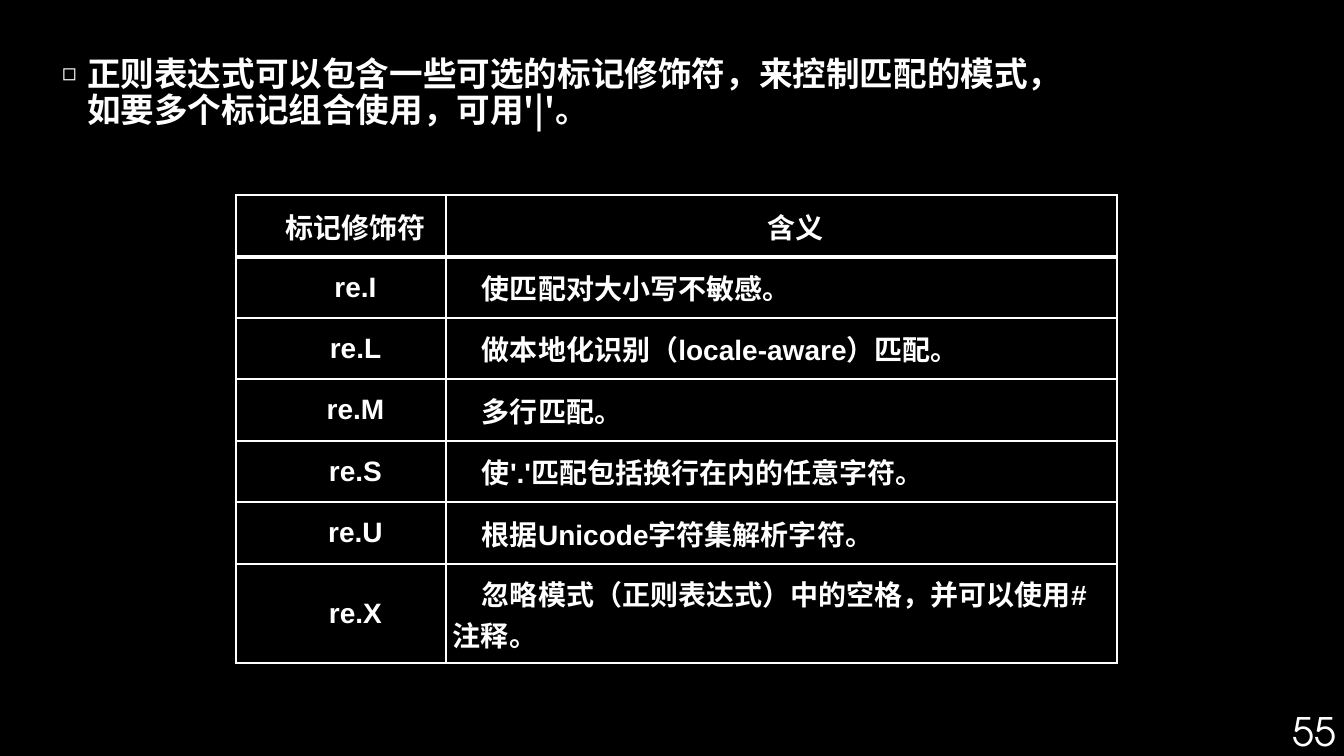
import dataclasses
import itertools

import pptx
import pptx.dml.color
import pptx.enum.text
import pptx.oxml
import pptx.oxml.ns
import pptx.util

EMU_PER_PX = 914400 / 100.8
NS = pptx.oxml.ns.nsdecls("a")
ALIGN = pptx.enum.text.PP_ALIGN
MIDDLE = pptx.enum.text.MSO_ANCHOR.MIDDLE
BLACK, WHITE = "000000", "FFFFFF"
CJK = "Noto Sans CJK SC"


@dataclasses.dataclass
class Flag:
    name: str
    meaning: str


@dataclasses.dataclass
class Style:
    size: int
    font: str
    bold: bool = True


BODY = Style(24, CJK)
CELL = Style(20, "Arial")
NUMBER = Style(28, "TeX Gyre Adventor", False)

INTRO = "正则表达式可以包含一些可选的标记修饰符，来控制匹配的模式，如要多个标记组合使用，可用'|'。"
HEADER = Flag("标记修饰符", "含义")
FLAGS = [
    Flag("re.I", "使匹配对大小写不敏感。"),
    Flag("re.L", "做本地化识别（locale-aware）匹配。"),
    Flag("re.M", "多行匹配。"),
    Flag("re.S", "使'.'匹配包括换行在内的任意字符。"),
    Flag("re.U", "根据Unicode字符集解析字符。"),
    Flag("re.X", "忽略模式（正则表达式）中的空格，并可以使用#注释。"),
]
COL_EDGES = (236, 446, 1117)
ROW_EDGES = (195, 257, 318, 379, 441, 502, 564, 663)


def px(n: int) -> int:
    return pptx.util.Emu(round(n * EMU_PER_PX))


def rgb(value: str) -> pptx.dml.color.RGBColor:
    return pptx.dml.color.RGBColor.from_string(value)


def set_attrs(obj, values: dict) -> None:
    for name, value in values.items():
        setattr(obj, name, value)


def write(p, text: str, style: Style) -> None:
    r = p.add_run()
    r.text = text
    set_attrs(r.font, {"size": pptx.util.Pt(style.size), "bold": style.bold, "name": style.font})
    r.font.color.rgb = rgb(WHITE)
    r.font._element.append(pptx.oxml.parse_xml(f'<a:ea {NS} typeface="{CJK}"/>'))


def indent(p, left: int, first: int) -> None:
    p._p.get_or_add_pPr().set("marL", str(px(left)))
    p._p.get_or_add_pPr().set("indent", str(px(first)))


def add_border(cell, side: str, points: int) -> None:
    cell._tc.get_or_add_tcPr().append(pptx.oxml.parse_xml(
        f'<a:ln{side} {NS} w="{pptx.util.Pt(points)}"><a:solidFill>'
        f'<a:srgbClr val="{WHITE}"/></a:solidFill></a:ln{side}>'))


def add_intro(s) -> None:
    sp = s.placeholders[1]
    set_attrs(sp, {"left": px(52), "top": px(52), "width": px(1040), "height": px(190)})
    sp.text_frame.word_wrap = True
    p = sp.text_frame.paragraphs[0]
    indent(p, 25, -25)
    for bullet in ('buSzPct {} val="70000"', 'buChar {} char="◻"'):
        p._p.get_or_add_pPr().append(pptx.oxml.parse_xml(f"<a:{bullet.format(NS)}/>"))
    set_attrs(p, {"line_spacing": 0.9, "space_before": pptx.util.Pt(0)})
    write(p, INTRO, BODY)


def fill_cell(cell, text: str, centred: bool, header: bool, last: bool, first_data: bool) -> None:
    set_attrs(cell, {"margin_left": px(7), "margin_right": px(7), "margin_top": 0,
                     "margin_bottom": 0, "vertical_anchor": MIDDLE})
    for side, points in (("L", 1), ("R", 1), ("T", 3 if first_data else 1),
                         ("B", 3 if header else 1)):
        add_border(cell, side, points)
    cell.fill.background()
    p = cell.text_frame.paragraphs[0]
    indent(p, 0, 29)
    p.alignment = ALIGN.CENTER if centred else ALIGN.LEFT
    write(p, text, CELL)


def add_flag_table(s) -> None:
    rows = [HEADER, *FLAGS]
    left, top = COL_EDGES[0], ROW_EDGES[0]
    table = s.shapes.add_table(len(rows), 2, px(left), px(top), px(COL_EDGES[-1] - left),
                               px(ROW_EDGES[-1] - top)).table
    set_attrs(table, {"first_row": False, "horz_banding": False})
    for col, (start, end) in zip(table.columns, itertools.pairwise(COL_EDGES)):
        col.width = px(end - start)
    for row, (start, end) in zip(table.rows, itertools.pairwise(ROW_EDGES)):
        row.height = px(end - start)
    for i, flag in enumerate(rows):
        for j, text in enumerate((flag.name, flag.meaning)):
            fill_cell(table.cell(i, j), text, centred=i == 0 or j == 0, header=i == 0,
                      last=i == len(rows) - 1, first_data=i == 1)


def add_page_number(s) -> None:
    tf = s.shapes.add_textbox(px(1044), px(711), px(302), px(40)).text_frame
    set_attrs(tf, {"word_wrap": True, "vertical_anchor": MIDDLE})
    tf.paragraphs[0].alignment = ALIGN.RIGHT
    write(tf.paragraphs[0], "55", NUMBER)


def main() -> None:
    prs = pptx.Presentation()
    set_attrs(prs, {"slide_width": px(1344), "slide_height": px(756)})
    s = prs.slides.add_slide(prs.slide_layouts[1])
    s.background.fill.solid()
    s.background.fill.fore_color.rgb = rgb(BLACK)

    # The slide has no title
    title = s.shapes.title._element
    title.getparent().remove(title)

    add_intro(s)
    add_flag_table(s)
    add_page_number(s)
    prs.save("out.pptx")


if __name__ == "__main__":
    main()
